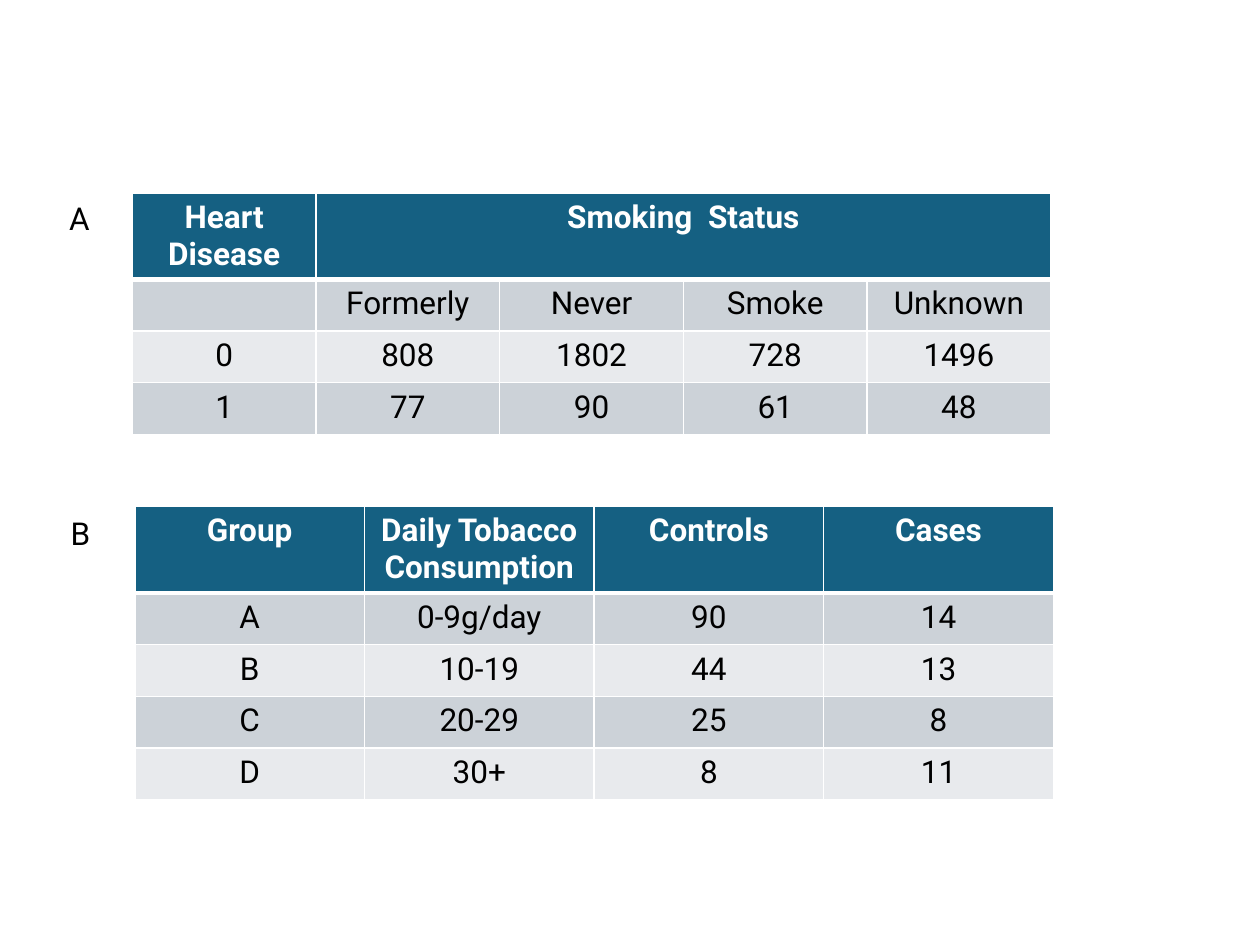
"""Build a slide with two tables on smoking, heart disease and tobacco use."""
import dataclasses

import lxml.etree
import pptx
import pptx.dml.color
import pptx.enum.text
import pptx.oxml.ns
import pptx.util

Inches = pptx.util.Inches
Pt = pptx.util.Pt


@dataclasses.dataclass(frozen=True)
class Theme:
    font: str = "Roboto"
    size: int = 18
    header: str = "156082"
    bands: tuple = ("CCD2D8", "E8EAED")
    white: str = "FFFFFF"
    black: str = "000000"
    line: int = 1
    header_line: int = 3


THEME = Theme()
TABLE_WIDTH = 7.29
ROW_HEIGHT = 0.41

SMOKING_STATUS = [
    ["Heart Disease", "Smoking  Status", "", "", ""],
    ["", "Formerly", "Never", "Smoke", "Unknown"],
    ["0", "808", "1802", "728", "1496"],
    ["1", "77", "90", "61", "48"],
]
TOBACCO_CONSUMPTION = [
    ["Group", "Daily Tobacco Consumption", "Controls", "Cases"],
    ["A", "0-9g/day", "90", "14"],
    ["B", "10-19", "44", "13"],
    ["C", "20-29", "25", "8"],
    ["D", "30+", "8", "11"],
]


def write_text(frame, text, color=THEME.black, bold=False):
    paragraph = frame.paragraphs[0]
    paragraph.alignment = pptx.enum.text.PP_ALIGN.CENTER
    paragraph.font.size = Pt(THEME.size)
    if text:
        span = paragraph.add_run()
        span.text = text
        span.font.name = THEME.font
        span.font.size = Pt(THEME.size)
        span.font.bold = bold
        span.font.color.rgb = pptx.dml.color.RGBColor.from_string(color)


def add_borders(cell, top, bottom):
    qualified = pptx.oxml.ns.qn
    properties = cell._tc.get_or_add_tcPr()
    widths = {"L": THEME.line, "R": THEME.line, "T": top, "B": bottom}
    for side, width in widths.items():
        line = lxml.etree.SubElement(properties, qualified(f"a:ln{side}"), w=str(Pt(width)))
        fill = lxml.etree.SubElement(line, qualified("a:solidFill"))
        lxml.etree.SubElement(fill, qualified("a:srgbClr"), val=THEME.white)


def format_cell(cell, text, row):
    is_header = row == 0
    add_borders(
        cell,
        top=THEME.header_line if row == 1 else THEME.line,
        bottom=THEME.header_line if is_header else THEME.line,
    )
    color = THEME.header if is_header else THEME.bands[(row - 1) % 2]
    cell.fill.solid()
    cell.fill.fore_color.rgb = pptx.dml.color.RGBColor.from_string(color)
    write_text(cell.text_frame, text, color=THEME.white if is_header else THEME.black, bold=is_header)


def add_data_table(page, rows, left, top):
    frame = page.shapes.add_table(
        len(rows), len(rows[0]), Inches(left), Inches(top),
        Inches(TABLE_WIDTH), Inches(ROW_HEIGHT * len(rows)),
    )
    table = frame.table
    for row, values in enumerate(rows):
        for column, text in enumerate(values):
            format_cell(table.cell(row, column), text, row)
    return table


def add_label(page, text, left, top):
    box = page.shapes.add_textbox(Inches(left), Inches(top), Inches(0.46), Inches(0.4))
    box.text_frame.word_wrap = True
    box.text_frame.auto_size = pptx.enum.text.MSO_AUTO_SIZE.SHAPE_TO_FIT_TEXT
    write_text(box.text_frame, text)


def main():
    deck = pptx.Presentation()
    deck.slide_width, deck.slide_height = Inches(10), Inches(7.5)
    page = deck.slides.add_slide(deck.slide_layouts[6])
    status_table = add_data_table(page, SMOKING_STATUS, left=1.05, top=1.53)
    status_table.cell(0, 1).merge(status_table.cell(0, 4))
    add_data_table(page, TOBACCO_CONSUMPTION, left=1.07, top=4.02)
    add_label(page, "A", left=0.4, top=1.53)
    add_label(page, "B", left=0.41, top=4.03)
    deck.save("out.pptx")


if __name__ == "__main__":
    main()
